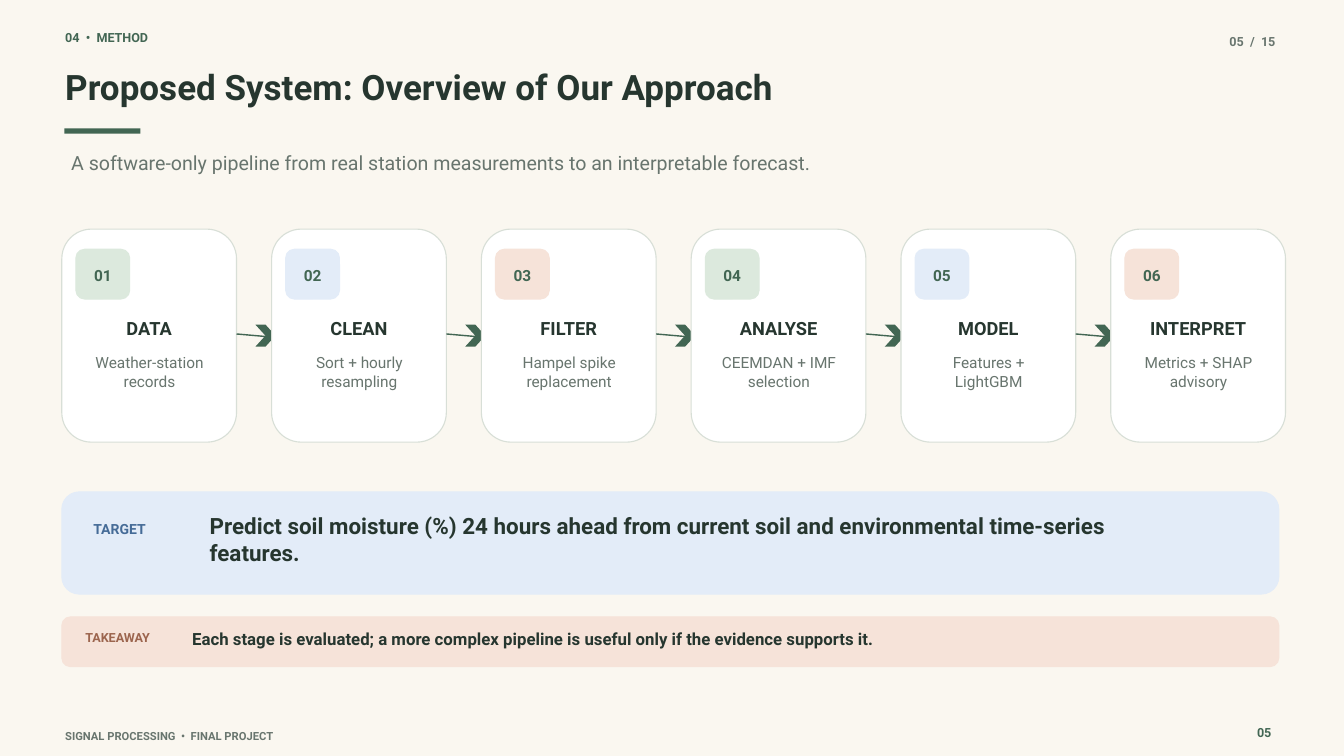
"""Builds the method overview slide with a six-stage pipeline."""
from pptx import Presentation
from pptx import util as u
from pptx.dml.color import RGBColor
from pptx.enum import shapes, text
from pptx.oxml import ns, xmlchemy

CREAM = RGBColor(0xFA, 0xF7, 0xF0)
WHITE = RGBColor(0xFF, 0xFF, 0xFF)
BORDER = RGBColor(0xD8, 0xDF, 0xD7)
INK = RGBColor(0x26, 0x36, 0x2F)
GREY = RGBColor(0x68, 0x75, 0x6E)
GREEN = RGBColor(0x42, 0x66, 0x53)
BLUE = RGBColor(0x45, 0x6B, 0x97)
RUST = RGBColor(0x9C, 0x65, 0x4E)
PALE_GREEN = RGBColor(0xDC, 0xE9, 0xDD)
PALE_BLUE = RGBColor(0xE3, 0xEC, 0xF8)
PALE_PEACH = RGBColor(0xF6, 0xE3, 0xD9)

LEFT, CARD_TOP, CARD_WIDTH = 0.92, 3.41, 2.6
LAST_CARD_LEFT = 16.53
BADGE_COLOURS = [PALE_GREEN, PALE_BLUE, PALE_PEACH]
STAGES = [
    ("DATA", "Weather-station\nrecords"),
    ("CLEAN", "Sort + hourly\nresampling"),
    ("FILTER", "Hampel spike\nreplacement"),
    ("ANALYSE", "CEEMDAN + IMF\nselection"),
    ("MODEL", "Features +\nLightGBM"),
    ("INTERPRET", "Metrics + SHAP\nadvisory"),
]


def write_text(frame, content, size=13.5, colour=INK, bold=True, align="LEFT"):
    frame.word_wrap = True
    frame.auto_size = text.MSO_AUTO_SIZE.NONE
    frame.vertical_anchor = text.MSO_ANCHOR.TOP
    frame.margin_left = frame.margin_top = frame.margin_right = frame.margin_bottom = 0
    frame.text = content
    for paragraph in frame.paragraphs:
        paragraph.alignment = text.PP_ALIGN[align]
        paragraph.line_spacing = u.Pt(size * 1.2)
        paragraph.font.name = "Roboto"
        paragraph.font.size = u.Pt(size)
        paragraph.font.bold = bold
        paragraph.font.color.rgb = colour


class SlideBuilder:
    def __init__(self, slide):
        self.slide = slide
        self.accent = GREEN
        slide.background.fill.solid()
        slide.background.fill.fore_color.rgb = CREAM

    def title(self, content, left, top, width, height, **style):
        title = self.slide.shapes.title
        title.left, title.top = u.Inches(left), u.Inches(top)
        title.width, title.height = u.Inches(width), u.Inches(height)
        write_text(title.text_frame, content, **style)

    def label(self, content, left, top, width, height, **style):
        box = self.slide.shapes.add_textbox(*map(u.Inches, (left, top, width, height)))
        write_text(box.text_frame, content, **style)

    def shape(self, kind, left, top, width, height, fill, line=None):
        shape = self.slide.shapes.add_shape(
            kind, *map(u.Inches, (left, top, width, height)))
        shape.shadow.inherit = False
        shape.fill.solid()
        shape.fill.fore_color.rgb = fill
        if line is None:
            shape.line.fill.background()
        else:
            shape.line.color.rgb = line
            shape.line.width = u.Pt(1.2)
        return shape

    def panel(self, left, top, width, height, radius, fill, line=None):
        panel = self.shape(shapes.MSO_SHAPE.ROUNDED_RECTANGLE,
                           left, top, width, height, fill, line or fill)
        panel.adjustments[0] = radius / min(width, height)

    def arrow(self, left):
        ends = map(u.Inches, (left, 4.97, left + 0.46, 5.01))
        connector = self.slide.shapes.add_connector(shapes.MSO_CONNECTOR.STRAIGHT, *ends)
        connector.line.color.rgb = self.accent
        connector.line.width = u.Pt(1.5)
        connector._element.spPr.append(xmlchemy.OxmlElement("a:effectLst"))
        self.shape(shapes.MSO_SHAPE.CHEVRON, left + 0.28, 4.83, 0.3, 0.33, self.accent)

    def stage(self, number, left, name, detail):
        badge = BADGE_COLOURS[(number - 1) % len(BADGE_COLOURS)]
        self.panel(left, CARD_TOP, CARD_WIDTH, 3.17, 0.44, WHITE, BORDER)
        self.panel(left + 0.21, 3.71, 0.8, 0.74, 0.13, badge)
        self.label(f"{number:02}", left + 0.26, 3.96, 0.7, 0.19,
                   size=16.5, colour=self.accent, align="CENTER")
        self.label(name, left + 0.29, 4.72, 2.02, 0.28, size=19.5, align="CENTER")
        self.label(detail, left + 0.28, 5.26, 2.05, 0.73,
                   size=16.5, colour=GREY, bold=False, align="CENTER")


def main():
    presentation = Presentation()
    presentation.slide_width, presentation.slide_height = u.Inches(20), u.Inches(11.25)
    builder = SlideBuilder(presentation.slides.add_slide(presentation.slide_layouts[5]))

    builder.label("04  •  METHOD", 0.97, 0.45, 8.18, 0.31, colour=GREEN)
    builder.title("Proposed System: Overview of Our Approach",
                  0.97, 0.97, 17.93, 0.79, size=37.5)
    builder.shape(shapes.MSO_SHAPE.RECTANGLE, 0.96, 1.91, 1.13, 0.08, GREEN)
    builder.label("05  /  15", 17.48, 0.51, 1.5, 0.26, colour=GREY, align="RIGHT")
    builder.label("A software-only pipeline from real station measurements "
                  "to an interpretable forecast.",
                  1.06, 2.25, 17.33, 0.41, size=21, colour=GREY, bold=False)

    pitch = (LAST_CARD_LEFT - LEFT) / (len(STAGES) - 1)
    for number, (name, detail) in enumerate(STAGES, 1):
        left = LEFT + (number - 1) * pitch
        builder.stage(number, left, name, detail)
        if number < len(STAGES):
            builder.arrow(left + CARD_WIDTH)

    builder.panel(LEFT, 7.32, 18.11, 1.52, 0.26, PALE_BLUE)
    builder.label("TARGET", 1.39, 7.74, 1.42, 0.25, size=15, colour=BLUE)
    builder.label("Predict soil moisture (%) 24 hours ahead from current soil "
                  "and environmental time-series features.",
                  3.12, 7.62, 14.63, 0.6, size=24)
    builder.panel(LEFT, 9.18, 18.11, 0.74, 0.13, PALE_PEACH)
    builder.label("TAKEAWAY", 1.27, 9.38, 1.5, 0.2, colour=RUST)
    builder.label("Each stage is evaluated; a more complex pipeline is useful "
                  "only if the evidence supports it.",
                  2.86, 9.35, 15.76, 0.34, size=18)

    builder.label("SIGNAL PROCESSING  •  FINAL PROJECT", 0.97, 10.85, 12.68, 0.16,
                  size=12, colour=GREY)
    builder.label("05", 18.28, 10.79, 0.64, 0.23, colour=GREEN, align="RIGHT")
    presentation.save("out.pptx")


if __name__ == "__main__":
    main()
